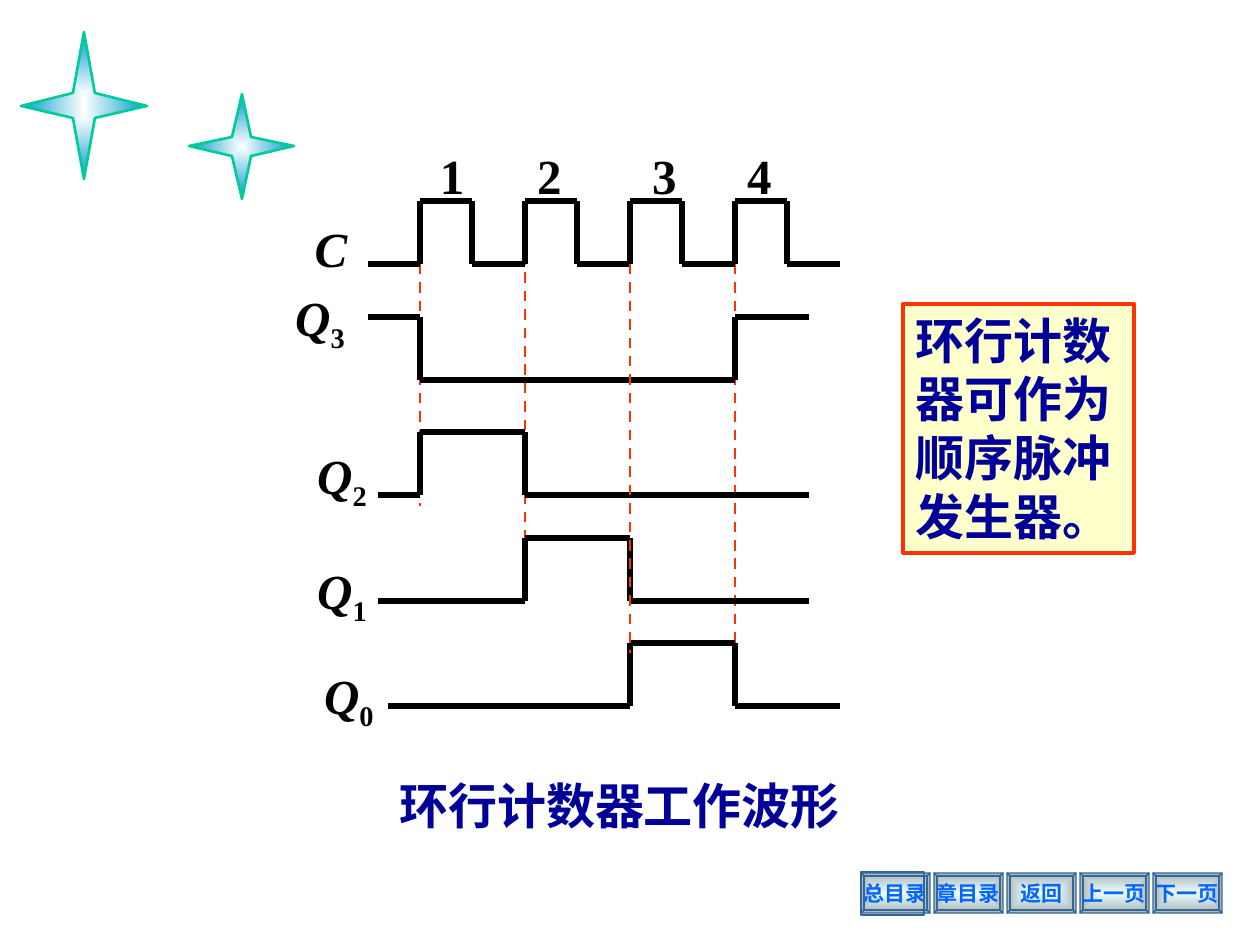
from pptx import Presentation
from pptx.dml.color import RGBColor
from pptx.enum.dml import MSO_LINE
from pptx.enum.shapes import MSO_CONNECTOR, MSO_SHAPE
from pptx.enum.text import MSO_ANCHOR as Anchor, MSO_AUTO_SIZE as AutoSize, PP_ALIGN as Align
from pptx.oxml.ns import qn
from pptx.oxml.xmlchemy import OxmlElement
from pptx.util import Emu, Pt

EMU_PER_PX = 914400 / 126
FONT = "Times New Roman"
COLORS = {
    "ink": "000000", "navy": "000099", "guide": "FF3300", "note": "FFFFCC",
    "star_core": "FFFFFF", "star_tip": "0099CC", "star_line": "00CC99",
    "button_core": "ECFDFE", "button_rim": "AAB6B7",
    "button_line": "336699", "button_text": "0066FF",
}
LEVEL_HEIGHT = 63
EDGES = [420, 525, 630, 735]
CLOCK_EDGES = [x + offset for x in EDGES for offset in (0, 52)]
WAVES = [
    (368, 840, 201, CLOCK_EDGES, False),
    (368, 809, 317, [EDGES[0], EDGES[3]], True),
    (378, 809, 432, EDGES[0:2], False),
    (378, 809, 538, EDGES[1:3], False),
    (388, 840, 643, EDGES[2:4], False),
]
GUIDES = [(735, 264, 664), (525, 254, 538), (420, 264, 506)]
LAST_GUIDE = (630, 264, 653)
PULSE_LABELS = [("1", 431, 42), ("2", 525, 49), ("3", 640, 49), ("4", 735, 49)]
OUTPUT_LABELS = [("3", 262, 281, 116), ("2", 284, 439, 116),
                 ("1", 284, 554, 116), ("0", 305, 659, 88)]
BUTTONS = ["总目录", "章目录", "返回", "上一页", "下一页"]


def px(value):
    return Emu(round(value * EMU_PER_PX))


def color(name):
    return RGBColor.from_string(COLORS[name])


def set_line(shape, name, width):
    shape.line.color.rgb = color(name)
    shape.line.width = Pt(width)


def set_center_gradient(shape, core, rim):
    shape.fill.gradient()
    for stop, name, position in zip(shape.fill.gradient_stops, (core, rim), (0, 1)):
        stop.color.rgb = color(name)
        stop.position = position
    gradient = shape._element.spPr.find(qn("a:gradFill"))
    center = OxmlElement("a:path")
    center.set("path", "rect")
    target = OxmlElement("a:fillToRect")
    for side in "ltrb":
        target.set(side, "50000")
    center.append(target)
    gradient.replace(gradient.find(qn("a:lin")), center)


def write_text(shape, text, size, name, align=Align.CENTER, anchor=Anchor.MIDDLE,
               wrap=True, italic=False, subscript=""):
    frame = shape.text_frame
    frame.word_wrap = wrap
    frame.auto_size = AutoSize.NONE
    frame.vertical_anchor = anchor
    paragraph = frame.paragraphs[0]
    paragraph.alignment = align
    font = paragraph.font
    font.name, font.size, font.bold = FONT, Pt(size), True
    font.color.rgb = color(name)
    run = paragraph.add_run()
    run.text = text
    if italic:
        run.font.italic = True
    if subscript:
        lower = paragraph.add_run()
        lower.text = subscript
        lower.font._element.set("baseline", "-25000")


def add_label(shapes, text, left, top, width, height, **options):
    box = shapes.add_textbox(px(left), px(top), px(width), px(height))
    write_text(box, text, 28, "ink", **options)


def add_line(shapes, start, end, name="ink", width=3, dashed=False):
    line = shapes.add_connector(MSO_CONNECTOR.STRAIGHT, *map(px, start + end))
    set_line(line, name, width)
    if dashed:
        line.line.dash_style = MSO_LINE.DASH
    line._element.spPr.append(OxmlElement("a:effectLst"))


def add_guide(shapes, x, top, bottom):
    add_line(shapes, (x, top), (x, bottom), "guide", 1.5, dashed=True)


def add_wave(shapes, start, end, top, edges, high):
    levels = {True: top, False: top + LEVEL_HEIGHT}
    x = start
    for edge in edges:
        add_line(shapes, (x, levels[high]), (edge, levels[high]))
        add_line(shapes, (edge, levels[high]), (edge, levels[not high]))
        x, high = edge, not high
    add_line(shapes, (x, levels[high]), (end, levels[high]))


def add_outline(shapes, contours):
    builder = shapes.build_freeform(*contours[0][0], scale=EMU_PER_PX)
    for index, contour in enumerate(contours):
        if index:
            builder.move_to(*contour[0])
        builder.add_line_segments(contour[1:], close=True)
    shape = builder.convert_to_shape()
    shape.shadow.inherit = False
    return shape


def add_star(shapes, left, top, width, height):
    middle_x, middle_y = left + width / 2, top + height / 2
    inner_x, inner_y = 0.175 * width / 2, 0.175 * height / 2
    star = add_outline(shapes, [[
        (left, middle_y), (middle_x - inner_x, middle_y - inner_y),
        (middle_x, top), (middle_x + inner_x, middle_y - inner_y),
        (left + width, middle_y), (middle_x + inner_x, middle_y + inner_y),
        (middle_x, top + height), (middle_x - inner_x, middle_y + inner_y),
    ]])
    set_center_gradient(star, "star_core", "star_tip")
    set_line(star, "star_line", 1.5)


def corners(left, top, right, bottom):
    return [(left, top), (right, top), (right, bottom), (left, bottom)]


def add_button(shapes, text, left, top, width=69, height=40, bevel=3):
    right, bottom = left + width, top + height
    outer = corners(left, top, right, bottom)
    inner = corners(left + bevel, top + bevel, right - bevel, bottom - bevel)
    sides = [[outer[i], outer[(i + 1) % 4], inner[(i + 1) % 4], inner[i]] for i in range(4)]
    button = add_outline(shapes, sides + [inner])
    set_center_gradient(button, "button_core", "button_rim")
    set_line(button, "button_line", 0.75)
    write_text(button, text, 12, "button_text", wrap=False)


def add_rectangle(shapes, left, top, width, height, line, line_width, fill=None):
    shape = shapes.add_shape(MSO_SHAPE.RECTANGLE, *map(px, (left, top, width, height)))
    shape.shadow.inherit = False
    if fill:
        shape.fill.solid()
        shape.fill.fore_color.rgb = color(fill)
    else:
        shape.fill.background()
    set_line(shape, line, line_width)
    return shape


def add_timing_diagram(shapes):
    for guide in GUIDES:
        add_guide(shapes, *guide)
    add_label(shapes, "C", 284, 212, 94, 72, italic=True)
    for text, left, width in PULSE_LABELS:
        add_label(shapes, text, left, 139, width, 72, wrap=False)
    for digit, left, top, width in OUTPUT_LABELS:
        add_label(shapes, "Q", left, top, width, 79, italic=True, subscript=digit)
    for wave in WAVES:
        add_wave(shapes, *wave)
    add_guide(shapes, *LAST_GUIDE)


def main():
    presentation = Presentation()
    presentation.slide_width, presentation.slide_height = px(1260), px(945)
    slide = presentation.slides.add_slide(presentation.slide_layouts[5])
    shapes = slide.shapes
    title = shapes.title
    title.left, title.top, title.width, title.height = map(px, (252, 769, 735, 72))
    write_text(title, "环行计数器工作波形", 28, "navy", anchor=Anchor.TOP)
    for index, text in enumerate(BUTTONS):
        add_button(shapes, text, 861 + 73 * index, 873)
    add_rectangle(shapes, 861, 872, 63, 43, "button_line", 0.75)
    stars = shapes.add_group_shape().shapes
    add_star(stars, 21, 32, 126, 147)
    add_star(stars, 189, 94, 105, 105)
    add_timing_diagram(shapes.add_group_shape().shapes)
    note = add_rectangle(shapes, 903, 304, 231, 249, "guide", 2.25, "note")
    write_text(note, "环行计数器可作为顺序脉冲发生器。", 28, "navy", Align.LEFT, Anchor.TOP)
    presentation.save("out.pptx")


if __name__ == "__main__":
    main()
